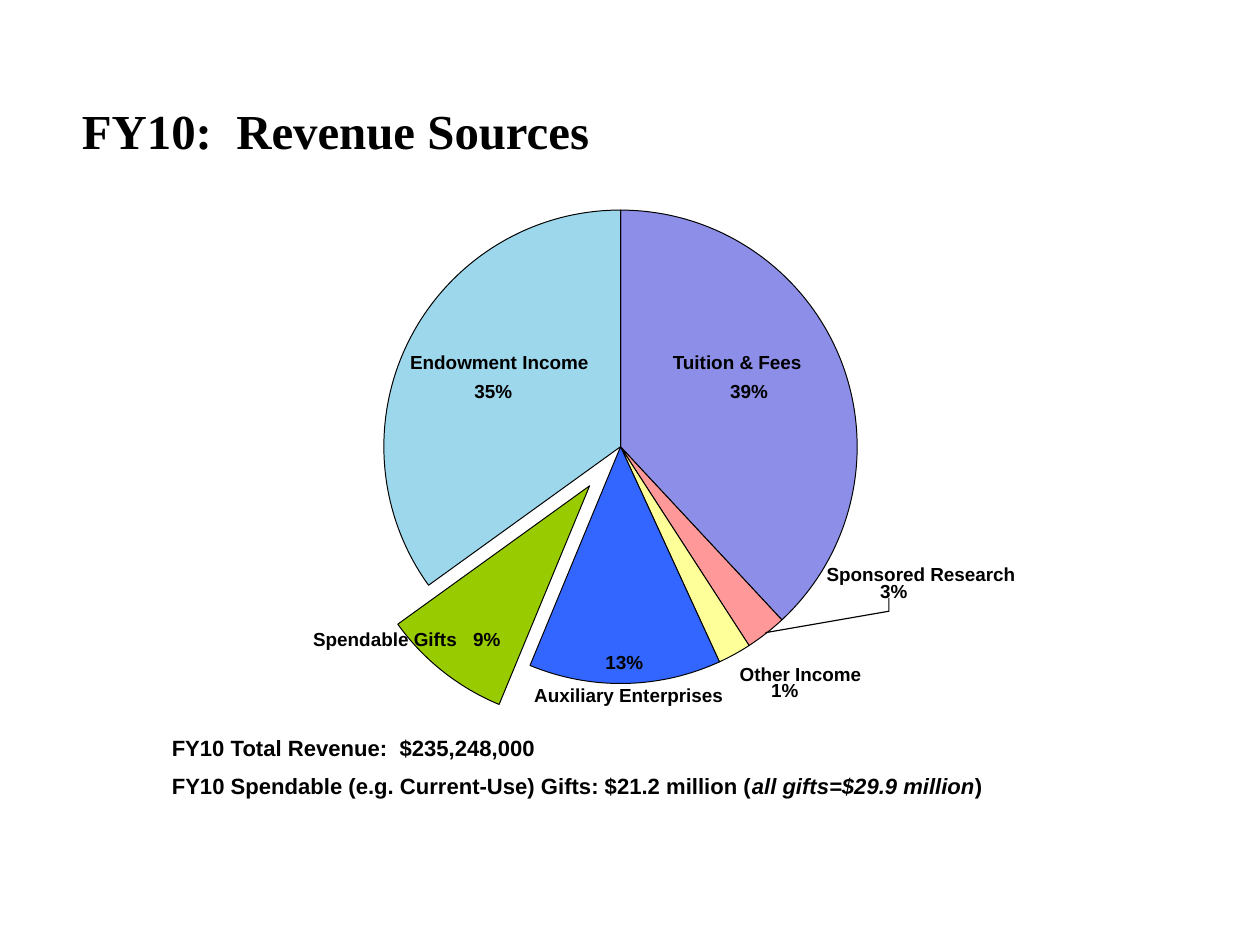
from math import cos, radians, sin, tan

from pptx import Presentation
from pptx.dml.color import RGBColor
from pptx.enum.text import MSO_ANCHOR, MSO_AUTO_SIZE
from pptx.oxml.ns import qn
from pptx.oxml.xmlchemy import OxmlElement
from pptx.util import Inches, Pt

MIDDLE, TOP = MSO_ANCHOR.MIDDLE, MSO_ANCHOR.TOP
FIT_SHAPE, FIT_NONE = MSO_AUTO_SIZE.SHAPE_TO_FIT_TEXT, MSO_AUTO_SIZE.NONE

WIDTH, HEIGHT = 11.11, 8.33
COLUMNS = 100
CELL = WIDTH / COLUMNS  # square grid cell, in inches; the slide is 100 by 75 cells
BLACK = "000000"

TITLE = "FY10:  Revenue Sources"

# Runs of (text, italic), then left, top, width
TOTALS = [
    ([("FY10 Total Revenue:  $235,248,000", False)], 12.75, 57.8, 30.9),
    ([("FY10 Spendable (e.g. Current-Use) Gifts: $21.2 million (", False),
      ("all gifts=$29.9 million", True), (")", False)], 12.75, 60.85, 68.8),
]

# Colour, end angle in degrees clockwise from the top, explosion as a share of the radius
SLICES = [
    ("8C8EE8", 137, 0),
    ("FF9999", 147.1, 0),
    ("FFFF99", 155.3, 0),
    ("3366FF", 202.5, 0),
    ("99CC00", 234.2, 0.21),
    ("9CD7EC", 360, 0),
]
PIE_CENTRE = (49.25, 35.45)
PIE_RADIUS = 18.78
QUARTER = 90

# Text, left, top, width
LABELS = [
    ("Tuition & Fees", 53.4, 27.85, 10.45),
    ("39%", 57.95, 30.15, 3),
    ("Sponsored Research", 65.6, 44.65, 15.1),
    ("3%", 69.85, 45.95, 2.2),
    ("Other Income", 58.7, 52.6, 9.8),
    ("1%", 61.2, 53.85, 2.2),
    ("Auxiliary Enterprises", 42.4, 54.25, 15.1),
    ("13%", 48.05, 51.6, 3),
    ("Spendable Gifts", 24.85, 49.8, 11.5),
    ("9%", 37.55, 49.8, 2.2),
    ("Endowment Income", 32.55, 27.85, 14.3),
    ("35%", 37.65, 30.15, 3),
]
LABEL_HEIGHT = 1.8
LEADER = [(70.55, 47.45), (70.55, 48.5), (60.75, 50.2)]


def color(value):
    return RGBColor.from_string(value)


def cells(count):
    return Inches(count * CELL)


def add_text(slide, runs, left, top, width, height, size=12, font="Arial",
             inset=(0, 0), anchor=TOP, wrap=False, fit=FIT_SHAPE, spacing=None):
    """Add bold text made of (text, italic) runs; inset is horizontal, vertical in inches."""
    box = slide.shapes.add_textbox(*map(cells, (left, top, width, height)))
    frame = box.text_frame
    frame.word_wrap = wrap
    frame.auto_size = fit
    frame.vertical_anchor = anchor
    frame.margin_left = frame.margin_right = Inches(inset[0])
    frame.margin_top = frame.margin_bottom = Inches(inset[1])
    paragraph = frame.paragraphs[0]
    if spacing:
        paragraph.line_spacing = spacing
    for text, italic in runs:
        run = paragraph.add_run()
        run.text = text
        run.font.name = font
        run.font.size = Pt(size)
        run.font.bold = True
        run.font.italic = italic
        run.font.color.rgb = color(BLACK)


def add_outline(slide, points, fill=None, line_width=0.63):
    """Draw points given in cells: a closed shape if it has a fill, else an open line."""
    start, *others = [(cells(x), cells(y)) for x, y in points]
    builder = slide.shapes.build_freeform(*start)
    builder.add_line_segments(others, close=fill is not None)
    shape = builder.convert_to_shape()
    shape.shadow.inherit = False
    if fill:
        shape.fill.solid()
        shape.fill.fore_color.rgb = color(fill)
    else:
        shape.fill.background()
    shape.line.color.rgb = color(BLACK)
    shape.line.width = Pt(line_width)
    return shape


def curve_arc(shape):
    """Turn each three lines after the first into one Bézier curve."""
    lines = list(shape._element.iter(qn("a:lnTo")))[1:]
    for first in range(0, len(lines), 3):
        curve = OxmlElement("a:cubicBezTo")
        lines[first].addprevious(curve)
        for line in lines[first:first + 3]:
            curve.append(line[0])
            line.getparent().remove(line)


def polar(centre, radius, angle):
    """Return the point at an angle in degrees clockwise from the top."""
    x, y = centre
    return x + radius * sin(radians(angle)), y - radius * cos(radians(angle))


def arc_points(centre, start, end):
    """Return the start, then two control points and an end for each quarter crossed."""
    quarters = [angle for angle in range(0, 360, QUARTER) if start < angle < end]
    stops = [start, *quarters, end]
    points = [polar(centre, PIE_RADIUS, start)]
    for begin, finish in zip(stops, stops[1:]):
        handle = PIE_RADIUS * 4 / 3 * tan(radians(finish - begin) / 4)
        points += [
            polar(polar(centre, PIE_RADIUS, begin), handle, begin + QUARTER),
            polar(polar(centre, PIE_RADIUS, finish), handle, finish - QUARTER),
            polar(centre, PIE_RADIUS, finish),
        ]
    return points


def add_pie(slide):
    start = 0
    for fill, end, explosion in SLICES:
        apex = polar(PIE_CENTRE, PIE_RADIUS * explosion, (start + end) / 2)
        curve_arc(add_outline(slide, [apex, *arc_points(apex, start, end)], fill))
        start = end


def main():
    presentation = Presentation()
    presentation.slide_width = Inches(WIDTH)
    presentation.slide_height = Inches(HEIGHT)
    slide = presentation.slides.add_slide(presentation.slide_layouts[6])

    add_text(slide, [(TITLE, False)], 6.5, 3, 84.15, 15.1, size=31,
             font="Times New Roman", anchor=MIDDLE, wrap=True,
             fit=FIT_NONE, spacing=0.95)
    for runs, left, top, width in TOTALS:
        add_text(slide, runs, left, top, width, 3.05, size=14, inset=(0.1, 0.05))
    add_pie(slide)
    add_outline(slide, LEADER, line_width=0)
    for text, left, top, width in LABELS:
        add_text(slide, [(text, False)], left, top, width, LABEL_HEIGHT)

    presentation.save("out.pptx")


if __name__ == "__main__":
    main()
